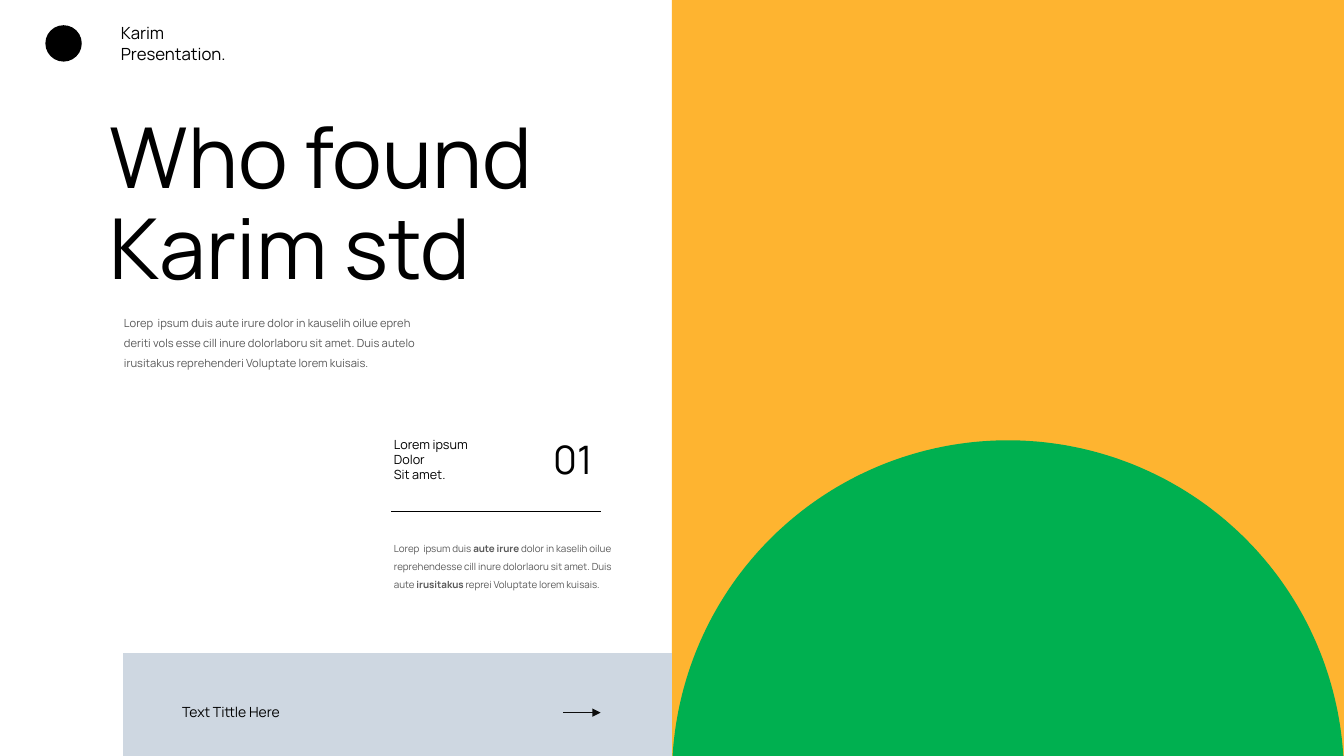
import math
from lxml import etree
from pptx import Presentation
from pptx.dml.color import RGBColor
from pptx.enum import shapes, text
from pptx.oxml import ns
from pptx.util import Pt

COLORS = {
    "black": "000000", "ink": "0D0D0D", "gray": "595959",
    "orange": "FEB430", "green": "00B050", "mist": "CED7E1",
}
WIDTH, HEIGHT = 960, 540
HALF = WIDTH / 2

prs = Presentation()
prs.slide_width, prs.slide_height = Pt(WIDTH), Pt(HEIGHT)
slide = prs.slides.add_slide(prs.slide_layouts[5])


def write(content, at, size, color="black", spacing=1.0, box=None):
    """Fill a text box; ** switches bold on and off, a newline starts a paragraph."""
    box = box or slide.shapes.add_textbox(0, 0, 0, 0)
    box.left, box.top, box.width, box.height = map(Pt, at)
    frame = box.text_frame
    frame.word_wrap = True
    frame.auto_size = text.MSO_AUTO_SIZE.NONE
    frame.vertical_anchor = text.MSO_ANCHOR.TOP
    for number, line in enumerate(content.split("\n")):
        paragraph = frame.add_paragraph() if number else frame.paragraphs[0]
        paragraph.alignment = text.PP_ALIGN.LEFT
        paragraph.line_spacing = spacing
        for part, words in enumerate(line.split("**")):
            run = paragraph.add_run()
            run.text = words
            run.font.name = "Manrope"
            run.font.size = Pt(size)
            run.font.bold = part % 2 == 1
            run.font.color.rgb = RGBColor.from_string(COLORS[color])


def paint(shape, color):
    """Give a shape a flat fill without line or shadow."""
    shape.shadow.inherit = False
    shape.fill.solid()
    shape.fill.fore_color.rgb = RGBColor.from_string(COLORS[color])
    shape.line.fill.background()


# Colour panels and the plain emblem beside the header
for kind, at, color in [
    ("RECTANGLE", (HALF, 0, HALF, HEIGHT), "orange"),
    ("RECTANGLE", (88, 466.5, HALF - 88, HEIGHT - 466.5), "mist"),
    ("OVAL", (32.4, 18, 26, 26), "black"),
]:
    panel = slide.shapes.add_shape(shapes.MSO_SHAPE[kind], *map(Pt, at))
    paint(panel, color)

# Green dome: a circle cut off by the bottom edge
radius, center_x, center_y = 240, 720, 554.5
start = math.asin((center_y - HEIGHT) / radius)
steps = 180
arc = []
for step in range(steps + 1):
    angle = start + (math.pi - 2 * start) * step / steps
    arc.append((Pt(center_x + radius * math.cos(angle)),
                Pt(center_y - radius * math.sin(angle))))
outline = slide.shapes.build_freeform(*arc[0])
outline.add_line_segments(arc[1:], close=True)
paint(outline.convert_to_shape(), "green")

# Header and title
write("Karim\nPresentation.", (79.2, 13, 94.3, 36), 12)
write("Who found\nKarim std", (71.3, 79.2, 350.6, 139), 60, spacing=0.9,
      box=slide.shapes.title)

# Introduction
write("Lorep  ipsum duis aute irure dolor in kauselih oilue epreh\n"
      "deriti vols esse cill inure dolorlaboru sit amet. Duis autelo "
      "irusitakus reprehenderi Voluptate lorem kuisais.",
      (81.4, 217.4, 248.4, 49.7), 8, "gray", 1.5)

# Numbered item
write("Lorem ipsum\nDolor\nSit amet.", (274.3, 308.2, 74.2, 40.3), 9)
write("01", (388.1, 307.4, 52.6, 41), 28)
write("Lorep  ipsum duis **aute irure **dolor in kaselih oilue reprehendesse cill "
      "inure dolorlaoru sit amet. Duis aute** irusitakus **reprei Voluptate "
      "lorem kuisais.", (274.3, 380.2, 180, 56.9), 7, "gray", 1.5)

# Footer label
write("Text Tittle Here", (123.1, 499, 100, 19.4), 10)

# Divider and footer arrow
for left, y, color, has_head in [(279.4, 365.5, "black", False),
                                 (402.5, 509, "ink", True)]:
    rule = slide.shapes.add_connector(shapes.MSO_CONNECTOR.STRAIGHT,
                                      Pt(left), Pt(y), Pt(429), Pt(y))
    rule.line.color.rgb = RGBColor.from_string(COLORS[color])
    rule.line.width = Pt(0.5)
    if has_head:
        etree.SubElement(rule.line._get_or_add_ln(), ns.qn("a:tailEnd"), type="triangle")
    etree.SubElement(rule._element.spPr, ns.qn("a:effectLst"))

prs.save("out.pptx")
